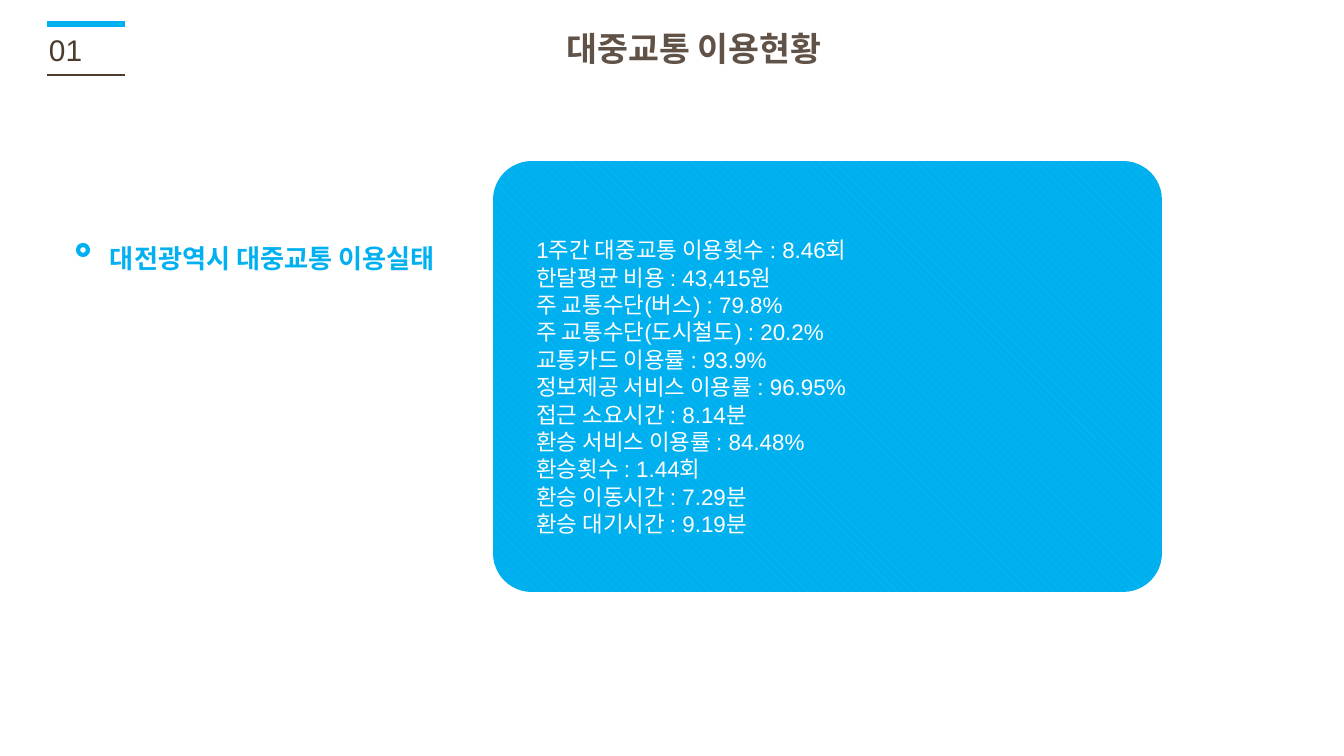
from lxml import etree
from pptx import Presentation
from pptx.dml.color import RGBColor
from pptx.enum.dml import MSO_PATTERN
from pptx.enum.shapes import MSO_CONNECTOR, MSO_SHAPE
from pptx.enum.text import MSO_ANCHOR, MSO_AUTO_SIZE, PP_ALIGN
from pptx.oxml.ns import qn
from pptx.util import Pt

STRAIGHT = MSO_CONNECTOR.STRAIGHT
ROUNDED, OVAL = MSO_SHAPE.ROUNDED_RECTANGLE, MSO_SHAPE.OVAL
STRIPES = MSO_PATTERN.WIDE_DOWNWARD_DIAGONAL
TOP, MIDDLE = MSO_ANCHOR.TOP, MSO_ANCHOR.MIDDLE
LEFT, CENTER = PP_ALIGN.LEFT, PP_ALIGN.CENTER
FIXED_SIZE = MSO_AUTO_SIZE.NONE

KOREAN, LATIN = "Noto Sans CJK KR", "Arial"
BLUE, BROWN, TITLE_BROWN, WHITE = "00B0F0", "4C3C2E", "615247", "FFFFFF"
TITLE = "대중교통 이용현황"
SECTION = "01"
HEADING = "대전광역시 대중교통 이용실태"
FACTS = [
    ("1주간 대중교통 이용횟수 ", "8.46회"),
    ("한달평균 비용 ", "43,415원"),
    ("주 교통수단(버스) ", "79.8%"),
    ("주 교통수단(도시철도) ", "20.2%"),
    ("교통카드 이용률 ", "93.9%"),
    ("정보제공 서비스 이용률 ", "96.95%"),
    ("접근 소요시간 ", "8.14분"),
    ("환승 서비스 이용률 ", "84.48%"),
    ("환승횟수 ", "1.44회"),
    ("환승 이동시간 ", "7.29분"),
    ("환승 대기시간 ", "9.19분"),
]
RULES = [(24, BLUE, 3), (75, BROWN, 1.5)]
RULE_LEFT, RULE_RIGHT = 47, 125


def px(pixels):
    """Turn pixels at 134.4 to the inch into EMU."""
    return round(pixels * 914400 / 134.4)


def box(*pixels):
    """Turn left, top, width and height into EMU."""
    return [px(value) for value in pixels]


def color(code):
    """Make a colour from a hex string."""
    return RGBColor.from_string(code)


def write(shape, lines, size, code, font=LATIN, bold=False, align=LEFT,
          anchor=MIDDLE, spacing=1.02, margins=(13, 7, 13, 7)):
    """Fill a shape with formatted paragraphs."""
    frame = shape.text_frame
    frame.text = "\n".join(lines)
    frame.word_wrap = True
    frame.auto_size = FIXED_SIZE
    frame.vertical_anchor = anchor
    (frame.margin_left, frame.margin_top,
     frame.margin_right, frame.margin_bottom) = box(*margins)
    for paragraph in frame.paragraphs:
        paragraph.alignment = align
        paragraph.line_spacing = spacing
        for run in paragraph.runs:
            run.font.size = Pt(size)
            run.font.bold = bold
            run.font.color.rgb = color(code)
            run.font.name = font
            east_asian = etree.SubElement(run.font._element, qn("a:ea"))
            east_asian.set("typeface", KOREAN)


def add_rule(slide, top, code, width):
    """Draw a horizontal rule beside the section number."""
    rule = slide.shapes.add_connector(
        STRAIGHT, *box(RULE_LEFT, top, RULE_RIGHT, top))
    rule.line.color.rgb = color(code)
    rule.line.width = Pt(width)
    etree.SubElement(rule._element.spPr, qn("a:effectLst"))


presentation = Presentation()
presentation.slide_width, presentation.slide_height = px(1344), px(756)
slide = presentation.slides.add_slide(presentation.slide_layouts[5])
shapes = slide.shapes

title = shapes.title
title.left, title.top, title.width, title.height = box(133, 10, 1122, 76)
write(title, [TITLE], 18, TITLE_BROWN, KOREAN, True, CENTER, spacing=1)

for rule_values in RULES:
    add_rule(slide, *rule_values)

panel = shapes.add_shape(ROUNDED, *box(493, 161, 669, 431))
panel.shadow.inherit = False
panel.adjustments[0] = 0.09
panel.fill.patterned()
panel.fill.pattern = STRIPES
panel.fill.fore_color.rgb = color("05BEFF")
panel.fill.back_color.rgb = color("00B0EE")
panel.line.fill.background()
write(panel, [f"{label}: {value}" for label, value in FACTS], 12, WHITE,
      margins=(32, 27, 32, 7))

section = shapes.add_textbox(*box(36, 11, 73, 77))
write(section, [SECTION], 16, BROWN)

heading = shapes.add_textbox(*box(81, 218, 476, 52))
write(heading, [HEADING], 14, BLUE, bold=True, anchor=TOP, spacing=1.54,
      margins=(29, 7, 13, 7))

marker = shapes.add_shape(OVAL, *box(78, 245, 10, 10))
marker.shadow.inherit = False
marker.fill.solid()
marker.fill.fore_color.rgb = color(WHITE)
marker.line.color.rgb = color(BLUE)
marker.line.width = Pt(2.25)

presentation.save("out.pptx")
